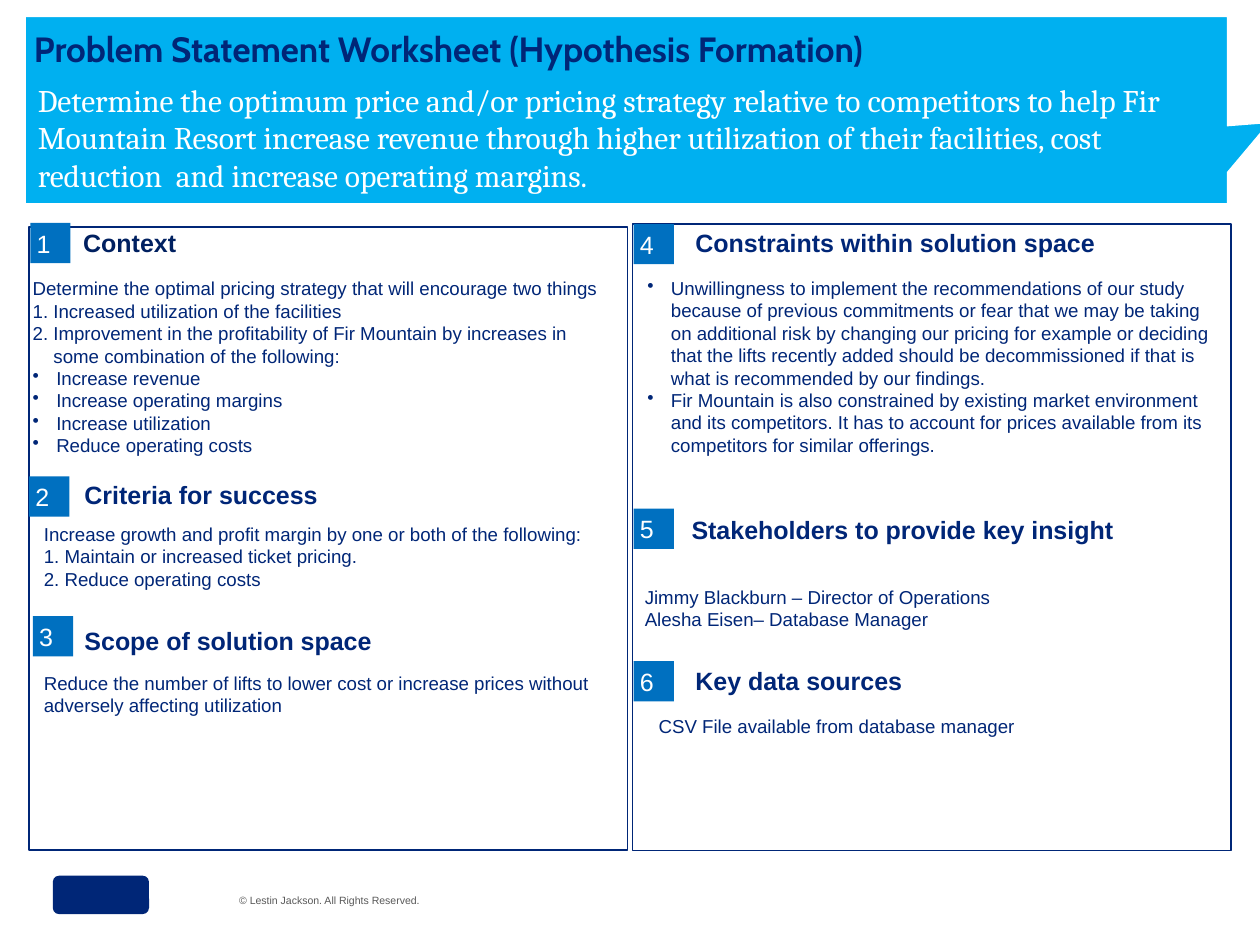
from lxml import etree
from pptx import Presentation
from pptx.dml.color import RGBColor
from pptx.enum import shapes, text
from pptx.oxml import ns
from pptx.util import Pt

NAVY, DARK, BLUE, SKY, GREY, WHITE = "002677", "002060", "0070C0", "00B0F0", "595959", "FFFFFF"
BADGE = 23
HEADING = dict(size=14.3, bold=True, color=NAVY)
BODY = dict(size=10.7, color=NAVY)
BODY_INSETS = (7.2, 3.6, 7.2, 3.6)

# Each section: number, heading, offsets of badge, heading and body in the panel,
# body width, body lines as (text, left indent, bulleted).
LEFT = [
    ("1", "Context", (0.7, -2.2), (31, 0), (-5, 25.2), 340.6, [
        ("Determine the optimal pricing strategy that will encourage two things", 0, False),
        ("1. Increased utilization of the facilities", 0, False),
        ("2. Improvement in the profitability of Fir Mountain by increases in", 0, False),
        ("some combination of the following:", 11.9, False),
        ("Increase revenue", 13.5, True),
        ("Increase operating margins", 13.5, True),
        ("Increase utilization", 13.5, True),
        ("Reduce operating costs", 13.5, True)]),
    ("2", "Criteria for success", (0, 142.6), (31.7, 144), (1.4, 165.6), 333.4, [
        ("Increase growth and profit margin by one or both of the following:", 0, False),
        ("1. Maintain or increased ticket pricing.", 0, False),
        ("2. Reduce operating costs", 0, False)]),
    ("3", "Scope of solution space", (2.2, 222.5), (31.7, 227.5), (1.4, 250.6), 333.4, [
        ("Reduce the number of lifts to lower cost or increase prices without "
         "adversely affecting utilization", 0, False)]),
]
RIGHT = [
    ("4", "Constraints within solution space", (0.7, 0), (36, 1.4), (1.4, 26.6), 339, [
        ("Unwillingness to implement the recommendations of our study because of previous "
         "commitments or fear that we may be taking on additional risk by changing our pricing "
         "for example or deciding that the lifts recently added should be decommissioned if "
         "that is what is recommended by our findings.", 13.5, True),
        ("Fir Mountain is also constrained by existing market environment and its competitors. "
         "It has to account for prices available from its competitors for similar offerings.",
         13.5, True)]),
    ("5", "Stakeholders to provide key insight", (0.7, 162.7), (33.8, 165.6), (0, 203), 340.6, [
        ("Jimmy Blackburn – Director of Operations", 0, False),
        ("Alesha Eisen– Database Manager", 0, False)]),
    ("6", "Key data sources", (0.7, 249.8), (36, 252), (7.9, 277.2), 302.4, [
        ("CSV File available from database manager", 0, False)]),
]


def rgb(value):
    return RGBColor.from_string(value)


def place(shape, left, top, width, height):
    for name, value in dict(left=left, top=top, width=width, height=height).items():
        setattr(shape, name, Pt(value))


def set_bullet(para, left, bulleted):
    props = para._p.get_or_add_pPr()
    props.set("marL", str(Pt(left)))
    props.set("indent", str(-Pt(left) if bulleted else 0))
    mark = etree.SubElement(props, ns.qn("a:buChar" if bulleted else "a:buNone"))
    if bulleted:
        mark.set("char", "•")


def write(shape, lines, size, color, font="Arial", bold=False, insets=(0, 0, 0, 0),
          anchor=text.MSO_ANCHOR.TOP):
    frame = shape.text_frame
    settings = dict(word_wrap=True, auto_size=text.MSO_AUTO_SIZE.NONE, vertical_anchor=anchor)
    settings.update(zip(("margin_left", "margin_top", "margin_right", "margin_bottom"),
                        map(Pt, insets)))
    for name, value in settings.items():
        setattr(frame, name, value)
    for index, (words, left, bulleted) in enumerate(lines):
        para = frame.add_paragraph() if index else frame.paragraphs[0]
        para.alignment = text.PP_ALIGN.LEFT
        para.space_before = Pt(0)
        set_bullet(para, left, bulleted)
        span = para.add_run()
        span.text = words
        for name, value in dict(name=font, size=Pt(size), bold=bold).items():
            setattr(span.font, name, value)
        span.font.color.rgb = rgb(color)


def add_block(page, kind, box, fill, line=None, weight=1):
    block = page.shapes.add_shape(kind, *map(Pt, box))
    block.shadow.inherit = False
    block.fill.solid()
    block.fill.fore_color.rgb = rgb(fill)
    if line:
        block.line.color.rgb = rgb(line)
        block.line.width = Pt(weight)
    else:
        block.line.fill.background()
    return block


def add_text(page, box, lines, **style):
    write(page.shapes.add_textbox(*map(Pt, box)), lines, **style)


def add_header(page, box):
    left, top, width, height = box
    callout = add_block(page, shapes.MSO_SHAPE.RECTANGULAR_CALLOUT, box, SKY, WHITE, 0.75)
    callout.adjustments[0], callout.adjustments[1] = 0.535, 0.066
    page.shapes._spTree.insert(2, callout._element)  # behind the placeholders

    title, statement = page.placeholders
    place(title, left + 5, top + 5.8, width, 24.5)
    write(title, [("Problem Statement Worksheet (Hypothesis Formation)", 0, False)],
          size=20, color=NAVY, font="Cabin", bold=True, anchor=text.MSO_ANCHOR.MIDDLE)
    place(statement, left, top + 33.1, 676, 72)
    write(statement, [("Determine the optimum price and/or pricing strategy relative to "
                       "competitors to help Fir Mountain Resort increase revenue through higher "
                       "utilization of their facilities, cost reduction  and increase operating "
                       "margins.", 0, False)],
          size=18, color=WHITE, font="Cambria", insets=BODY_INSETS)


def add_panel(page, box, sections):
    left, top, _, height = box
    add_block(page, shapes.MSO_SHAPE.RECTANGLE, box, WHITE, NAVY)
    ends = [section[2][1] for section in sections[1:]] + [height]
    for (number, heading, badge_at, heading_at, body_at, width, lines), end in zip(sections, ends):
        badge = add_block(page, shapes.MSO_SHAPE.RECTANGLE,
                          (left + badge_at[0], top + badge_at[1], BADGE, BADGE), BLUE)
        write(badge, [(number, 0, False)], size=14.3, color=WHITE, insets=(3.6,) * 4,
              anchor=text.MSO_ANCHOR.MIDDLE)
        style = dict(HEADING, color=DARK) if number == "1" else HEADING
        add_text(page, (left + heading_at[0], top + heading_at[1], 283, 18),
                 [(heading, 0, False)], anchor=text.MSO_ANCHOR.MIDDLE, **style)
        add_text(page, (left + body_at[0], top + body_at[1], width, end - body_at[1]),
                 lines, insets=BODY_INSETS, **BODY)


def add_footer(page, box):
    left, top, _, height = box
    add_block(page, shapes.MSO_SHAPE.ROUNDED_RECTANGLE, (left, top, 55, height), NAVY)
    add_text(page, (left + 99.4, top + 7.2, 186, 14.4),
             [("© Lestin Jackson. All Rights Reserved.", 0, False)],
             size=6, color=GREY, insets=BODY_INSETS)


def main():
    deck = Presentation()
    deck.slide_width, deck.slide_height = Pt(720), Pt(540)
    page = deck.slides.add_slide(deck.slide_layouts[1])
    add_header(page, (14.4, 9.4, 687, 107))
    add_panel(page, (16.6, 129.6, 342, 356), LEFT)
    add_panel(page, (361.4, 128, 342, 358), RIGHT)
    add_footer(page, (30.2, 500.4, 55, 22))
    deck.save("out.pptx")


if __name__ == "__main__":
    main()
